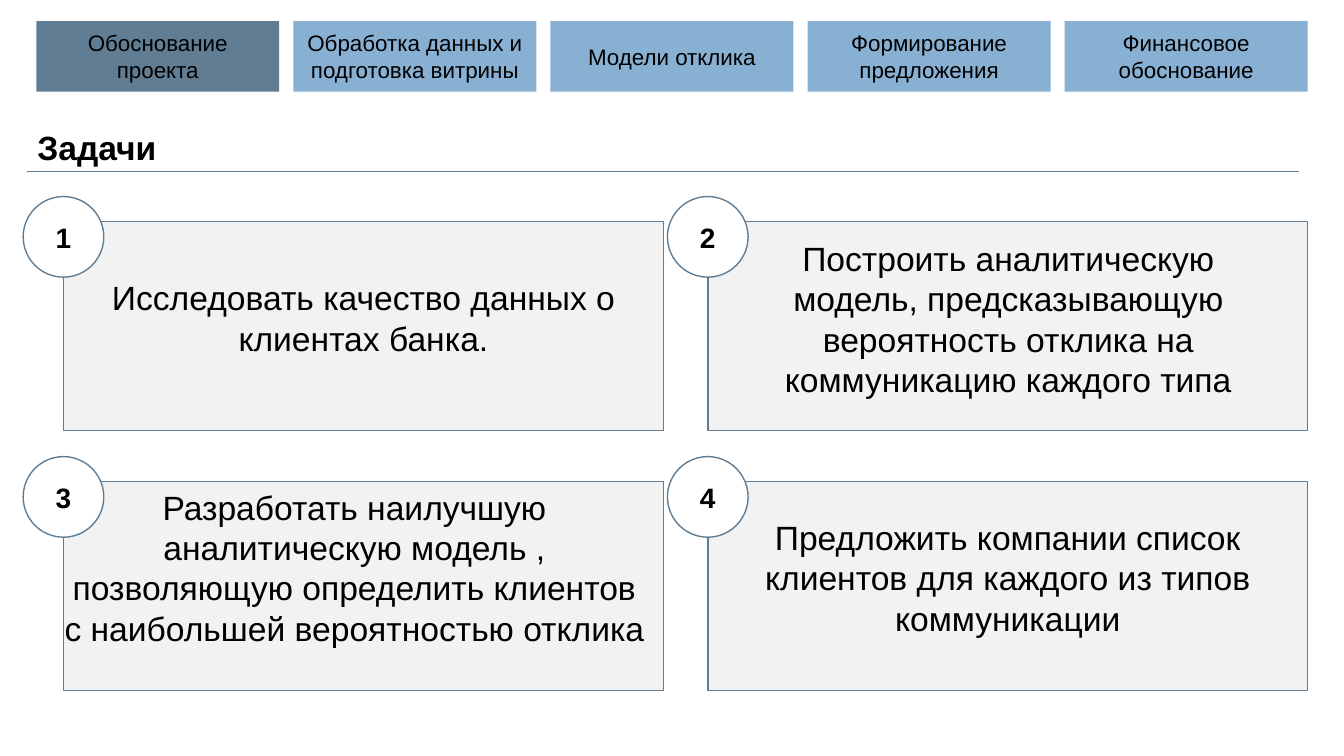
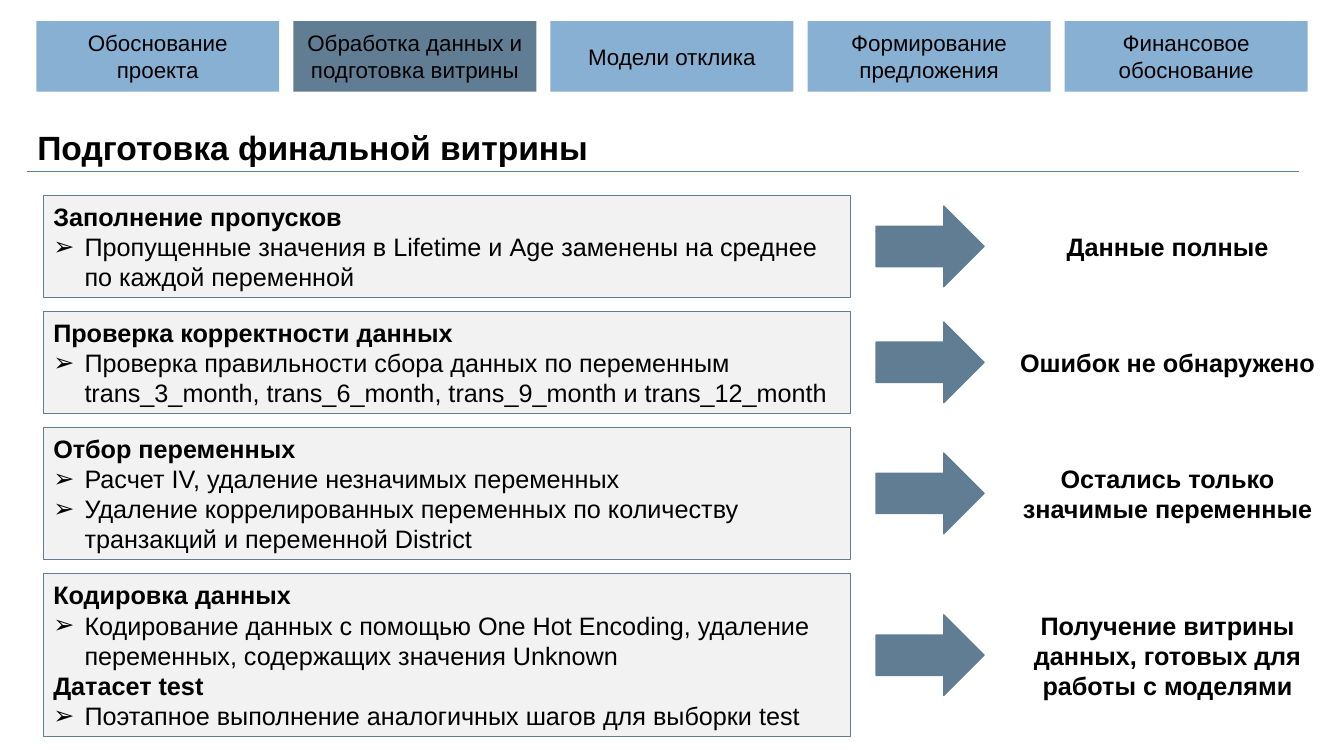
from lxml import etree
from pptx import Presentation
from pptx.dml.color import RGBColor
from pptx.enum.shapes import MSO_CONNECTOR, MSO_SHAPE
from pptx.enum.text import MSO_ANCHOR, MSO_AUTO_SIZE, PP_ALIGN
from pptx.oxml.ns import qn
from pptx.util import Inches, Pt

RECT, OVAL, ARROW = MSO_SHAPE.RECTANGLE, MSO_SHAPE.OVAL, MSO_SHAPE.RIGHT_ARROW
LEFT, CENTER = PP_ALIGN.LEFT, PP_ALIGN.CENTER
TOP, MIDDLE = MSO_ANCHOR.TOP, MSO_ANCHOR.MIDDLE

FONT = "Arial"
BLACK, WHITE, PANEL = "000000", "FFFFFF", "F2F2F2"
ACCENT, TAB = "617D93", "88B0D3"
TITLE_ONLY = 5

SECTIONS = [
    "Обоснование проекта",
    "Обработка данных и подготовка витрины",
    "Модели отклика",
    "Формирование предложения",
    "Финансовое обоснование",
]
TAB_LEFT, TAB_TOP, TAB_W, TAB_H, TAB_PITCH = 0.36, 0.21, 2.41, 0.7, 2.55

# Task text with its left, right and top margins inside the card
TASKS = [
    ("Исследовать качество данных о клиентах банка.", (0.45, 0.45, 0.55)),
    ("Построить аналитическую модель, предсказывающую вероятность отклика "
     "на коммуникацию каждого типа", (0.28, 0.27, 0.16)),
    ("Разработать наилучшую аналитическую модель , позволяющую определить "
     "клиентов с наибольшей вероятностью отклика", (0, 0.18, 0.05)),
    ("Предложить компании список клиентов для каждого из типов коммуникации",
     (0.45, 0.45, 0.35)),
]
CARD_COLS, CARD_ROWS, CARD_W, CARD_H = (0.63, 7.02), (2.2, 4.78), 5.95, 2.07
BADGE, BADGE_RISE = 0.8, 0.25

# Box height, paragraphs as (text, is a bullet), result
STEPS = [
    (1.01, [("Заполнение пропусков", False),
            ("Пропущенные значения в Lifetime и Age заменены на среднее "
             "по каждой переменной", True)],
     "Данные полные"),
    (1.01, [("Проверка корректности данных", False),
            ("Проверка правильности сбора данных по переменным "
             "trans_3_month, trans_6_month, trans_9_month и trans_12_month", True)],
     "Ошибок не обнаружено"),
    (1.31, [("Отбор переменных", False),
            ("Расчет IV, удаление незначимых переменных", True),
            ("Удаление коррелированных переменных по количеству транзакций "
             "и переменной District", True)],
     "Остались только значимые переменные"),
    (1.62, [("Кодировка данных", False),
            ("Кодирование данных с помощью One Hot Encoding, удаление "
             "переменных, содержащих значения Unknown", True),
            ("Датасет test", False),
            ("Поэтапное выполнение аналогичных шагов для выборки test", True)],
     "Получение витрины данных, готовых для работы с моделями"),
]
STEP_LEFT, STEP_TOP, STEP_W, STEP_GAP = 0.43, 1.94, 8.01, 0.14
ARROW_LEFT, ARROW_W, ARROW_H = 8.69, 1.07, 0.8
RESULT_LEFT, RESULT_W = 9.83, 3.5
BULLET_INDENT = 0.31


def color(hex_code):
    return RGBColor.from_string(hex_code)


def box(left, top, width, height):
    return [Inches(v) for v in (left, top, width, height)]


def add_block(s, kind, place, fill, line=None, line_pt=1):
    sp = s.shapes.add_shape(kind, *box(*place))
    sp.shadow.inherit = False
    sp.fill.solid()
    sp.fill.fore_color.rgb = color(fill)
    if line:
        sp.line.color.rgb = color(line)
        sp.line.width = Pt(line_pt)
    else:
        sp.line.fill.background()
    return sp


def style_paragraph(p, size, bold=False, align=CENTER):
    p.alignment = align
    for r in p.runs:
        r.font.name = FONT
        r.font.size = Pt(size)
        r.font.bold = bold
        r.font.color.rgb = color(BLACK)


def write(sp, text, size, bold=False, align=CENTER, anchor=MIDDLE):
    tf = sp.text_frame
    tf.word_wrap = True
    tf.auto_size = MSO_AUTO_SIZE.NONE
    tf.vertical_anchor = anchor
    tf.text = text
    for p in tf.paragraphs:
        style_paragraph(p, size, bold, align)
    return tf


def add_bullet(p):
    pPr = p._p.get_or_add_pPr()
    pPr.set("marL", str(Inches(BULLET_INDENT)))
    pPr.set("indent", str(-Inches(BULLET_INDENT)))
    etree.SubElement(pPr, qn("a:buFont")).set("typeface", FONT)
    etree.SubElement(pPr, qn("a:buChar")).set("char", "➢")


def add_rule(s, left, right, y):
    rule = s.shapes.add_connector(
        MSO_CONNECTOR.STRAIGHT, Inches(left), Inches(y), Inches(right), Inches(y))
    rule.line.color.rgb = color(ACCENT)
    rule.line.width = Pt(1)
    etree.SubElement(rule._element.spPr, qn("a:effectLst"))


def add_section_tabs(s, current):
    for i, name in enumerate(SECTIONS):
        place = (TAB_LEFT + i * TAB_PITCH, TAB_TOP, TAB_W, TAB_H)
        tab = add_block(s, RECT, place, ACCENT if i == current else TAB)
        write(tab, name, 16)


def new_slide(prs, title, section):
    """Add a slide with its title, rule and section tabs."""
    s = prs.slides.add_slide(prs.slide_layouts[TITLE_ONLY])
    sp = s.shapes.title
    sp.left, sp.top, sp.width, sp.height = box(0.27, 1.21, 7.23, 0.5)
    write(sp, title, 24, bold=True, align=LEFT)
    add_rule(s, 0.27, 12.88, 1.7)
    add_section_tabs(s, section)
    return s


def add_task(s, number, text, margins):
    row, col = divmod(number - 1, len(CARD_COLS))
    x, y = CARD_COLS[col], CARD_ROWS[row]
    card = add_block(s, RECT, (x, y, CARD_W, CARD_H), PANEL, ACCENT)
    tf = write(card, text, 24, anchor=TOP)
    tf.margin_left, tf.margin_right, tf.margin_top = [Inches(m) for m in margins]
    badge = add_block(s, OVAL, (x - BADGE / 2, y - BADGE_RISE, BADGE, BADGE),
                      WHITE, ACCENT)
    write(badge, str(number), 20, bold=True)


def add_step(s, top, height, paragraphs, result):
    panel = add_block(s, RECT, (STEP_LEFT, top, STEP_W, height), PANEL, ACCENT, 0.75)
    tf = write(panel, "\n".join(text for text, _ in paragraphs), 18, align=LEFT)
    for p, (_, is_bullet) in zip(tf.paragraphs, paragraphs):
        style_paragraph(p, 18, bold=not is_bullet, align=LEFT)
        if is_bullet:
            add_bullet(p)

    arrow_top = top + (height - ARROW_H) / 2
    add_block(s, ARROW, (ARROW_LEFT, arrow_top, ARROW_W, ARROW_H), ACCENT, ACCENT)
    outcome = s.shapes.add_textbox(*box(RESULT_LEFT, top, RESULT_W, height))
    write(outcome, result, 18, bold=True)


def build_tasks(prs):
    s = new_slide(prs, "Задачи", 0)
    for number, (text, margins) in enumerate(TASKS, 1):
        add_task(s, number, text, margins)


def build_preparation(prs):
    s = new_slide(prs, "Подготовка финальной витрины", 1)
    top = STEP_TOP
    for height, paragraphs, result in STEPS:
        add_step(s, top, height, paragraphs, result)
        top += height + STEP_GAP


def main():
    prs = Presentation()
    prs.slide_width, prs.slide_height = Inches(13.33), Inches(7.5)
    build_tasks(prs)
    build_preparation(prs)
    prs.save("out.pptx")


if __name__ == "__main__":
    main()
